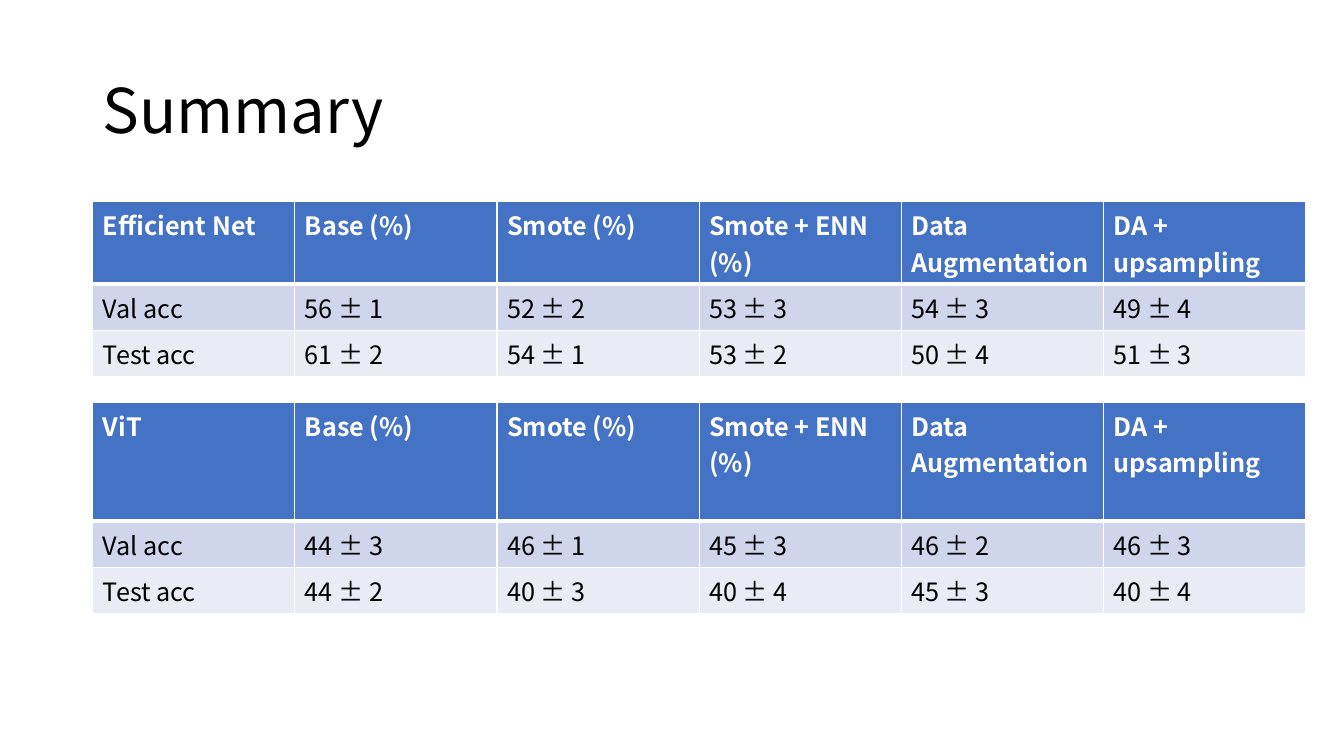
from lxml.etree import SubElement
from pptx import Presentation
from pptx.dml.color import RGBColor
from pptx.enum.text import MSO_ANCHOR
from pptx.oxml.ns import qn
from pptx.util import Inches, Pt

FONT = "Noto Sans CJK SC"
BLACK = RGBColor(0x00, 0x00, 0x00)
WHITE = RGBColor(0xFF, 0xFF, 0xFF)
BLUE = RGBColor(0x44, 0x72, 0xC4)
BANDS = [RGBColor(0xCF, 0xD5, 0xEA), RGBColor(0xE9, 0xEB, 0xF5)]

LEFT = 0.92
TABLE_WIDTH = 12.03
BODY_ROW = 0.46
METHODS = ["Base (%)", "Smote (%)", "Smote + ENN (%)",
           "Data Augmentation", "DA + upsampling"]
EFFICIENT_NET = [
    ["Efficient Net", *METHODS],
    ["Val acc", "56 ± 1", "52 ± 2", "53 ± 3", "54 ± 3", "49 ± 4"],
    ["Test acc", "61 ± 2", "54 ± 1", "53 ± 2", "50 ± 4", "51 ± 3"],
]
VIT = [
    ["ViT", *METHODS],
    ["Val acc", "44 ± 3", "46 ± 1", "45 ± 3", "46 ± 2", "46 ± 3"],
    ["Test acc", "44 ± 2", "40 ± 3", "40 ± 4", "45 ± 3", "40 ± 4"],
]


def style_paragraph(p, size, color, bold=False):
    p.font.name = FONT
    p.font.size = Pt(size)
    p.font.color.rgb = color
    p.font.bold = bold


def add_borders(cell, top, bottom):
    """Draw white cell borders; top and bottom are widths in points."""
    tc_pr = cell._tc.get_or_add_tcPr()
    for tag, width in (("lnL", 1), ("lnR", 1), ("lnT", top), ("lnB", bottom)):
        ln = SubElement(tc_pr, qn(f"a:{tag}"), w=str(Pt(width)))
        fill = SubElement(ln, qn("a:solidFill"))
        SubElement(fill, qn("a:srgbClr"), val=str(WHITE))


def add_title(slide, text, left, top, width, height):
    box = slide.shapes.add_textbox(
        Inches(left), Inches(top), Inches(width), Inches(height))
    tf = box.text_frame
    tf.word_wrap = True
    tf.vertical_anchor = MSO_ANCHOR.MIDDLE
    p = tf.paragraphs[0]
    p.text = text
    p.line_spacing = 0.9
    style_paragraph(p, 44, BLACK)


def add_results(slide, rows, left, top, width, header_height):
    heights = [header_height] + [BODY_ROW] * (len(rows) - 1)
    columns = len(rows[0])
    table = slide.shapes.add_table(
        len(rows), columns, Inches(left), Inches(top),
        Inches(width), Inches(sum(heights))).table
    for column in table.columns:
        column.width = Inches(width / columns)
    for i, (values, height) in enumerate(zip(rows, heights)):
        table.rows[i].height = Inches(height)
        header = i == 0
        for j, value in enumerate(values):
            cell = table.cell(i, j)
            add_borders(cell, top=3 if i == 1 else 1, bottom=3 if header else 1)
            cell.fill.solid()
            cell.fill.fore_color.rgb = BLUE if header else BANDS[(i - 1) % 2]
            p = cell.text_frame.paragraphs[0]
            p.text = value
            style_paragraph(p, 18, WHITE if header else BLACK, bold=header)


def main():
    prs = Presentation()
    prs.slide_width = Inches(13.33)
    prs.slide_height = Inches(7.5)
    slide = prs.slides.add_slide(prs.slide_layouts[6])
    add_title(slide, "Summary", LEFT, 0.4, 11.5, 1.45)
    add_results(slide, EFFICIENT_NET, LEFT, 2, TABLE_WIDTH, header_height=0.82)
    add_results(slide, VIT, LEFT, 3.99, TABLE_WIDTH, header_height=1.18)
    prs.save("out.pptx")


if __name__ == "__main__":
    main()
